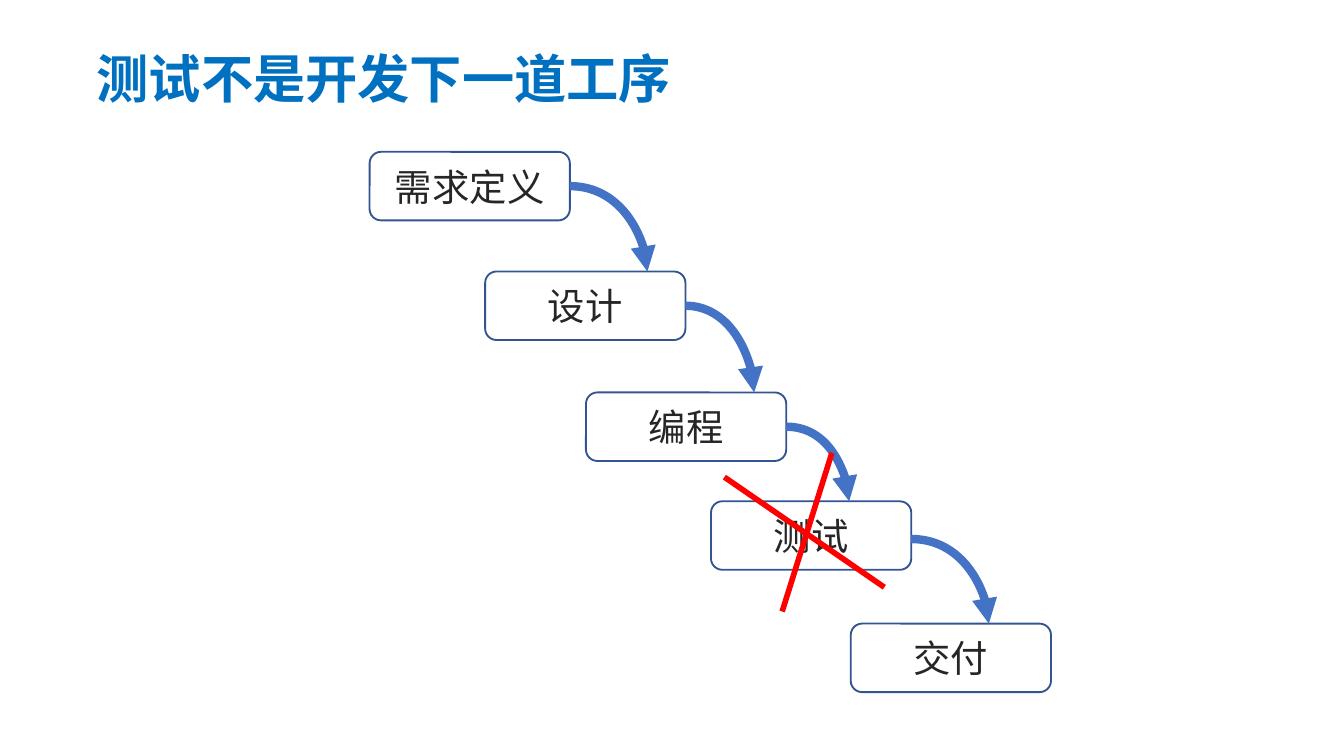
from dataclasses import dataclass
from itertools import pairwise

from lxml.etree import SubElement
from pptx import Presentation
from pptx.dml.color import RGBColor
from pptx.enum.shapes import MSO_CONNECTOR, MSO_SHAPE
from pptx.enum.text import MSO_ANCHOR, PP_ALIGN
from pptx.oxml.ns import qn
from pptx.util import Inches, Pt


@dataclass(frozen=True)
class Theme:
    font: str = "Noto Sans CJK SC"
    title: str = "0070C0"
    ink: str = "262626"
    edge: str = "325491"
    arrow: str = "4472C4"
    cross: str = "FF0000"
    head: int = 28
    body: int = 20


THEME = Theme()
COLS, ROWS = 1000, 562.5  # grid cells of 0.01 inch
BOX_W, BOX_H = 149, 51

# label, left column, top row, share of the box width where the arrow lands,
# share of the box height where the next arrow leaves
STEPS = [
    ("需求定义", 275, 113, None, 0.5),
    ("设计", 361, 202, 0.81, 0.5),
    ("编程", 436, 292, 0.84, 0.5),
    ("测试", 529, 373, 0.69, 0.55),
    ("交付", 633, 464, 0.69, None),
]
CROSS = [((539, 355), (658, 437)), ((582, 455), (619, 337))]


def grid(*cells):
    return [Inches(cell / 100) for cell in cells]


def write(shape, text, size=THEME.body, color=THEME.ink, bold=False,
          align=PP_ALIGN.CENTER, spacing=None):
    frame = shape.text_frame
    frame.word_wrap = True
    frame.vertical_anchor = MSO_ANCHOR.MIDDLE
    para = frame.paragraphs[0]
    para.alignment = align
    para.line_spacing = spacing
    run = para.add_run()
    run.text = text
    font = run.font
    font.size, font.bold, font.name = Pt(size), bold, THEME.font
    font.color.rgb = RGBColor.from_string(color)
    SubElement(run._r.get_or_add_rPr(), qn("a:ea"), typeface=THEME.font)


def add_title(slide, text):
    title = slide.shapes.title
    title.left, title.top, title.width, title.height = grid(62, 32, 805, 57)
    write(title, text, size=THEME.head, color=THEME.title, bold=True,
          align=PP_ALIGN.LEFT, spacing=0.9)


def add_step(shapes, label, left, top):
    box = shapes.add_shape(MSO_SHAPE.ROUNDED_RECTANGLE,
                           *grid(left, top, BOX_W, BOX_H))
    box.shadow.inherit = False
    box.fill.background()
    box.line.color.rgb = RGBColor.from_string(THEME.edge)
    box.line.width = Pt(1)
    write(box, label)


def add_line(shapes, start, end, color, width, kind=MSO_CONNECTOR.STRAIGHT):
    line = shapes.add_connector(kind, *grid(*start, *end))
    line.line.color.rgb = RGBColor.from_string(color)
    line.line.width = Pt(width)
    SubElement(line._element.spPr, qn("a:effectLst"))
    return line


def add_arrow(shapes, start, end):
    """Draw a quarter bend that leaves sideways and lands downwards."""
    arrow = add_line(shapes, start, end, THEME.arrow, 4.5, MSO_CONNECTOR.CURVE)
    arrow._element.spPr.find(qn("a:prstGeom")).set("prst", "curvedConnector2")
    SubElement(arrow.line._get_or_add_ln(), qn("a:tailEnd"), type="triangle")


def main():
    deck = Presentation()
    deck.slide_width, deck.slide_height = grid(COLS, ROWS)
    slide = deck.slides.add_slide(deck.slide_layouts[5])
    shapes = slide.shapes
    add_title(slide, "测试不是开发下一道工序")
    for label, left, top, _, _ in STEPS:
        add_step(shapes, label, left, top)
    for (_, left, top, _, leave), (_, goal, floor, land, _) in pairwise(STEPS):
        add_arrow(shapes, (left + BOX_W, top + leave * BOX_H),
                  (goal + land * BOX_W, floor))
    group = shapes.add_group_shape()
    for start, end in CROSS:
        add_line(group.shapes, start, end, THEME.cross, 3)
    deck.save("out.pptx")


if __name__ == "__main__":
    main()
